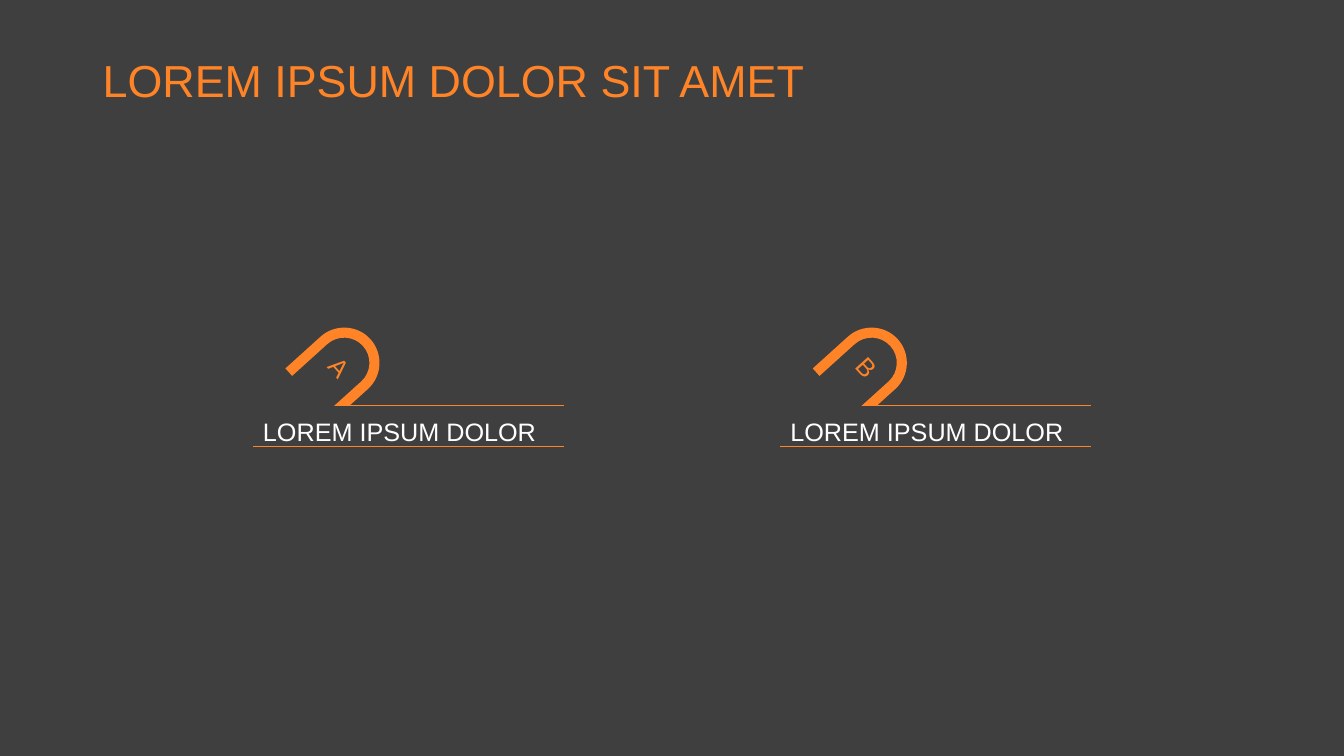
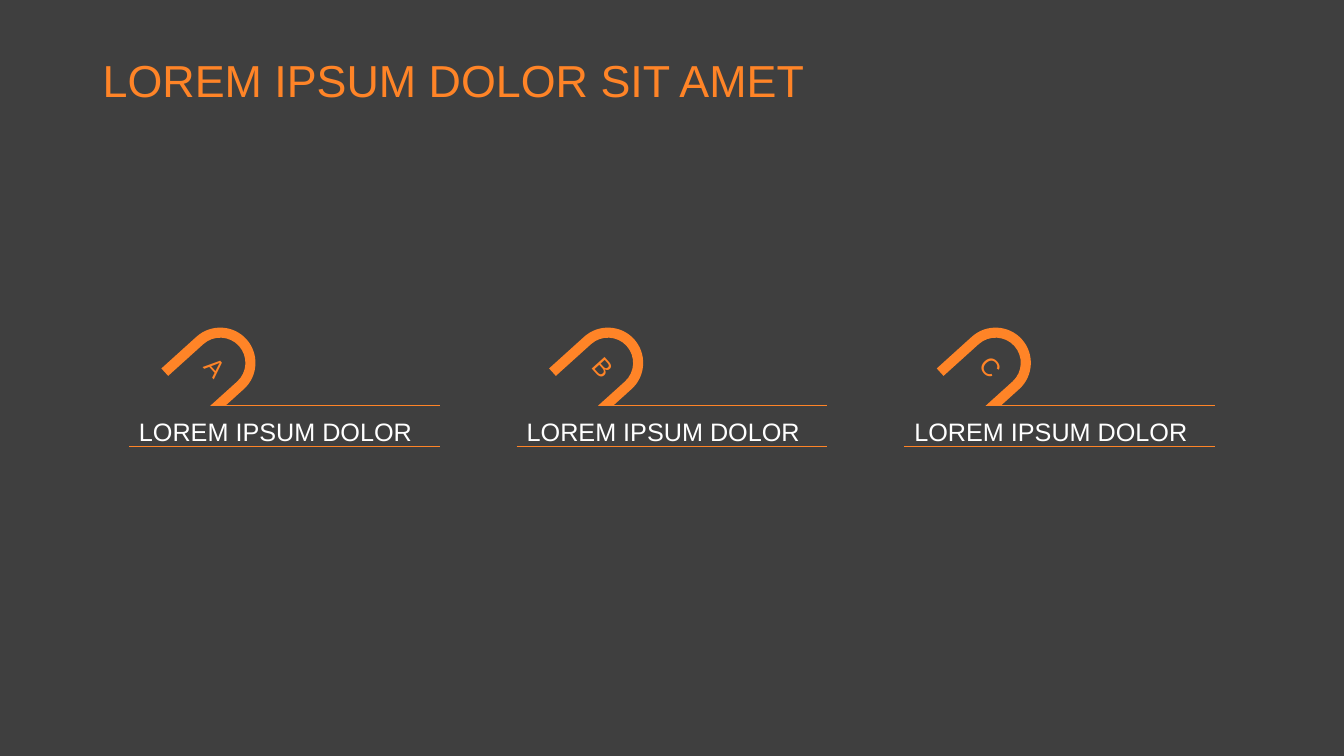
import lxml.etree
import pptx
import pptx.dml.color
import pptx.enum.shapes
import pptx.enum.text
import pptx.oxml.ns
import pptx.util

Inches = pptx.util.Inches
qn = pptx.oxml.ns.qn

SLIDE_WIDTH, SLIDE_HEIGHT = 13.33, 7.5
FONT = "Arial"
BACKGROUND, ACCENT, WHITE = "3F3F3F", "FF8427", "FFFFFF"
TITLE = "LOREM IPSUM DOLOR SIT AMET"
LABEL = "LOREM IPSUM DOLOR"

# One item: a label between two rules, with a tilted arch above it
ITEM_TOP, ITEM_WIDTH = 4.02, 3.08
LABEL_HEIGHT, UNDERLINE_DROP = 0.37, 0.41
TOP_RULE_INDENT = 0.82
ARCH_CENTRE = (0.86, -0.38)
ARCH_TILT = 47.9
QUARTER_ARC = 0.55  # reach of the control points towards the corner


def color(hex_code):
    return pptx.dml.color.RGBColor.from_string(hex_code)


def write(frame, text, size, hex_code, spacing=1.0, align=pptx.enum.text.PP_ALIGN.LEFT):
    frame.word_wrap = True
    frame.vertical_anchor = pptx.enum.text.MSO_ANCHOR.MIDDLE
    paragraph = frame.paragraphs[0]
    paragraph.alignment = align
    paragraph.line_spacing = spacing
    run = paragraph.add_run()
    run.text = text
    run.font.name = FONT
    run.font.size = pptx.util.Pt(size)
    run.font.color.rgb = color(hex_code)


def add_text(shapes, box, text, size, hex_code, spacing):
    textbox = shapes.add_textbox(*map(Inches, box))
    write(textbox.text_frame, text, size, hex_code, spacing)


def add_rule(shapes, left, right, y):
    rule = shapes.add_connector(
        pptx.enum.shapes.MSO_CONNECTOR.STRAIGHT,
        Inches(left), Inches(y), Inches(right), Inches(y))
    rule.line.color.rgb = color(ACCENT)
    rule.line.width = pptx.util.Pt(0.5)
    lxml.etree.SubElement(rule._element.spPr, qn("a:effectLst"))


def round_corner(segment, start, corner, end):
    """Turn a straight segment into a quarter arc that bends towards the corner."""
    segment.tag = qn("a:cubicBezTo")
    controls = [[p + (c - p) * QUARTER_ARC for p, c in zip(point, corner)]
                for point in (start, end)]
    for position, (x, y) in enumerate(controls):
        control = lxml.etree.Element(qn("a:pt"), x=str(round(x)), y=str(round(y)))
        segment.insert(position, control)


def add_arch(shapes, centre_x, centre_y, letter):
    # Upright outline around its centre; the right leg is cut on the slant
    outer, inner, bend, foot = 0.35, 0.25, -0.06, 0.41
    outline = [
        (-outer, foot), (-outer, bend), (0, bend - outer), (outer, bend),
        (outer, 0.19), (inner, 0.3),
        (inner, bend), (0, bend - inner), (-inner, bend), (-inner, foot)]
    corners = {  # keyed by the outline point at which the quarter arc ends
        2: (-outer, bend - outer), 3: (outer, bend - outer),
        7: (inner, bend - inner), 8: (-inner, bend - inner)}

    def place(point):
        return Inches(centre_x + point[0]), Inches(centre_y + point[1])

    builder = shapes.build_freeform(*place(outline[0]))
    builder.add_line_segments([place(point) for point in outline[1:]], close=True)
    arch = builder.convert_to_shape()

    def local(point):
        x, y = place(point)
        return x - arch.left, y - arch.top

    segments = list(arch._element.iter(qn("a:lnTo")))
    for end, corner in corners.items():
        round_corner(segments[end - 1], local(outline[end - 1]), local(corner),
                     local(outline[end]))
    arch.rotation = ARCH_TILT
    arch.shadow.inherit = False
    arch.fill.solid()
    arch.fill.fore_color.rgb = color(ACCENT)
    arch.line.fill.background()
    write(arch.text_frame, letter, 18, ACCENT, align=pptx.enum.text.PP_ALIGN.CENTER)


def add_item(slide, left, top, letter):
    shapes = slide.shapes.add_group_shape().shapes
    right = left + ITEM_WIDTH
    add_rule(shapes, left + TOP_RULE_INDENT, right, top)
    add_arch(shapes, left + ARCH_CENTRE[0], top + ARCH_CENTRE[1], letter)
    add_rule(shapes, left, right, top + UNDERLINE_DROP)
    add_text(shapes, (left, top, ITEM_WIDTH, LABEL_HEIGHT), LABEL, 18, WHITE, 1.5)


def add_agenda_slide(prs, letters, margin):
    slide = prs.slides.add_slide(prs.slide_layouts[6])
    add_text(slide.shapes, (0.92, 0.4, 11.5, 0.85), TITLE, 32, ACCENT, 0.9)
    # Items spread evenly between the margins
    pitch = (SLIDE_WIDTH - 2 * margin - ITEM_WIDTH) / (len(letters) - 1)
    for index, letter in enumerate(letters):
        add_item(slide, margin + index * pitch, ITEM_TOP, letter)


def main():
    prs = pptx.Presentation()
    prs.slide_width, prs.slide_height = Inches(SLIDE_WIDTH), Inches(SLIDE_HEIGHT)
    # Background shared by all slides
    backdrop = prs.slide_master.background.fill
    backdrop.solid()
    backdrop.fore_color.rgb = color(BACKGROUND)
    add_agenda_slide(prs, "AB", margin=2.51)
    add_agenda_slide(prs, "ABC", margin=1.28)
    prs.save("out.pptx")


if __name__ == "__main__":
    main()
